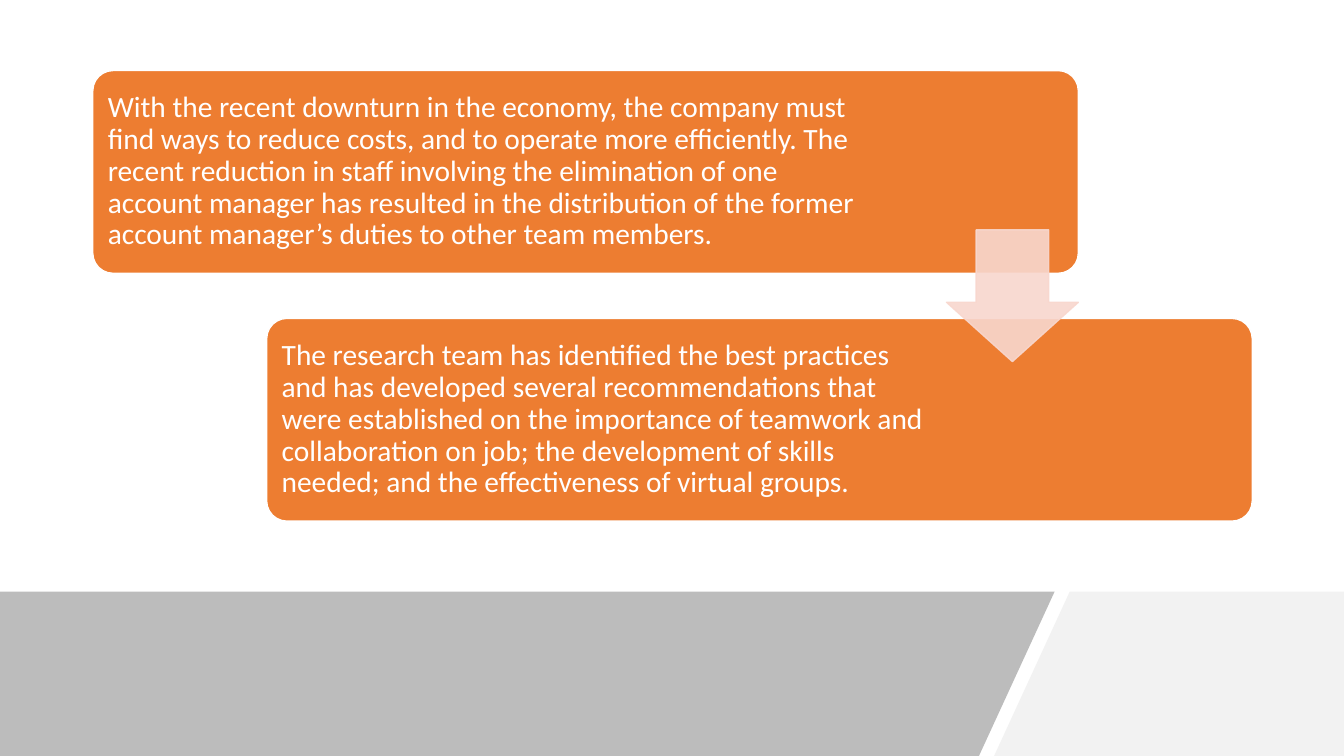
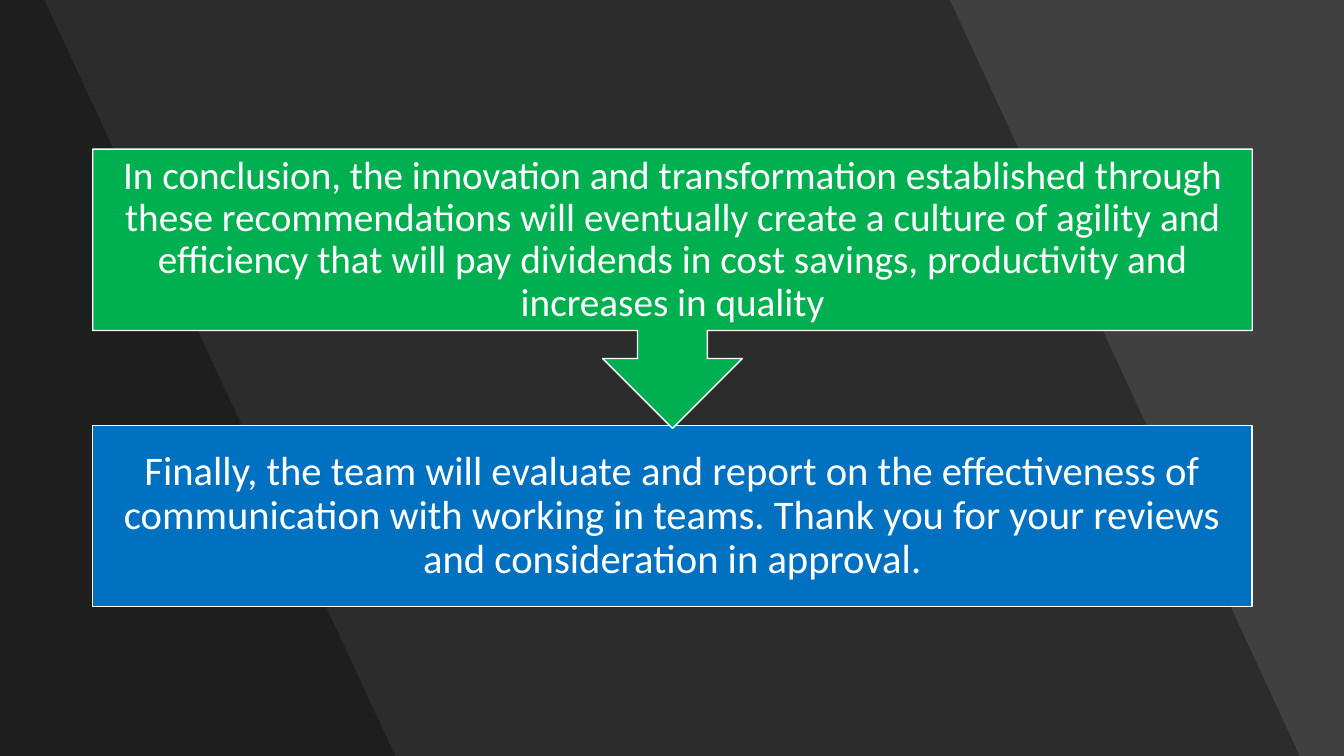
"""Build two slides of linked statement boxes over slanted bands."""
from dataclasses import dataclass

from lxml import etree
from pptx import Presentation
from pptx.dml.color import RGBColor
from pptx.enum.shapes import MSO_SHAPE
from pptx.enum.text import MSO_ANCHOR, PP_ALIGN
from pptx.oxml.ns import qn
from pptx.util import Inches, Pt

ROUND = MSO_SHAPE.ROUNDED_RECTANGLE
RECT = MSO_SHAPE.RECTANGLE
ARROW = MSO_SHAPE.DOWN_ARROW
CALL = MSO_SHAPE.DOWN_ARROW_CALLOUT
MID = MSO_ANCHOR.MIDDLE
LEFT, CENTER = PP_ALIGN.LEFT, PP_ALIGN.CENTER


@dataclass(frozen=True)
class Theme:
    """Hold the shared colours, font and type sizes."""
    font: str = "Calibri"
    white: str = "FFFFFF"
    black: str = "000000"
    dark: str = "404040"
    gray: str = "595959"
    pale: str = "F2F2F2"
    orange: str = "ED7D31"
    pink: str = "F8D7CE"
    green: str = "00B050"
    blue: str = "0070C0"
    small: int = 21
    large: int = 28
    huge: int = 29


T = Theme()
WIDE, HIGH = 13.33, 7.5
EDGE, SPAN = 0.92, 11.5


def paint(shape, fill, line=None, alpha=100):
    """Set fill, line and opacity of a shape without a shadow."""
    shape.shadow.inherit = False
    shape.fill.solid()
    shape.fill.fore_color.rgb = RGBColor.from_string(fill)
    if line:
        shape.line.width = Pt(1)
        shape.line.color.rgb = RGBColor.from_string(line)
    else:
        shape.line.fill.background()
    if alpha < 100:
        for tint in shape.element.spPr.iter(qn("a:srgbClr")):
            etree.SubElement(tint, qn("a:alpha")).set("val", str(alpha * 1000))


def write(shape, text, size, align, pad):
    """Put one middle-anchored paragraph in a shape; pad is left, right, ends."""
    frame = shape.text_frame
    frame.word_wrap = True
    frame.vertical_anchor = MID
    frame.margin_left, frame.margin_right = Inches(pad[0]), Inches(pad[1])
    frame.margin_top = frame.margin_bottom = Inches(pad[2])
    para = frame.paragraphs[0]
    para.text = text
    para.alignment = align
    para.line_spacing = 0.9
    font = para.runs[0].font
    font.name, font.size = T.font, Pt(size)
    font.color.rgb = RGBColor.from_string(T.white)


deck = Presentation()
deck.slide_width, deck.slide_height = Inches(WIDE), Inches(HIGH)
blank = deck.slide_layouts[6]

band = 5.87
looks = [
    (T.white, [
        ([(10.61, band), (WIDE, band), (WIDE, HIGH), (9.86, HIGH)], T.pale, 100),
        ([(0, band), (10.46, band), (9.71, HIGH), (0, HIGH)], T.gray, 40),
    ]),
    (T.dark, [
        ([(0, 0), (9.42, 0), (12.89, HIGH), (0, HIGH)], T.black, 30),
        ([(0, 0), (0.44, 0), (3.92, HIGH), (0, HIGH)], T.black, 30),
    ]),
]
slides = []
for back, bands in looks:
    slide = deck.slides.add_slide(blank)
    slide.background.fill.solid()
    slide.background.fill.fore_color.rgb = RGBColor.from_string(back)
    for spots, fill, alpha in bands:
        spots = [(Inches(x), Inches(y)) for x, y in spots]
        pen = slide.shapes.build_freeform(*spots[0])
        pen.add_line_segments(spots[1:], close=True)
        paint(pen.convert_to_shape(), fill, alpha=alpha)
    slides.append(slide)
first, last = [slide.shapes for slide in slides]

top, tall = 0.7, 4.47
wide, high = SPAN * 0.85, tall * 0.45
cards = [
    ("With the recent downturn in the economy, the company must find ways to "
     "reduce costs, and to operate more efficiently. The recent reduction in "
     "staff involving the elimination of one account manager has resulted in "
     "the distribution of the former account manager’s duties to other team "
     "members.", 2.05),
    ("The research team has identified the best practices and has developed "
     "several recommendations that were established on the importance of "
     "teamwork and collaboration on job; the development of skills needed; "
     "and the effectiveness of virtual groups.", 3.18),
]
for step, (text, right) in enumerate(cards):
    card = first.add_shape(ROUND, Inches(EDGE + step * (SPAN - wide)),
                           Inches(top + step * (tall - high)),
                           Inches(wide), Inches(high))
    card.adjustments[0] = 0.1
    paint(card, T.orange, T.white)
    write(card, text, T.small, LEFT, (0.09, right, 0.09))

side = high * 0.65
arrow = first.add_shape(ARROW, Inches(EDGE + wide - side), Inches(2.28),
                        Inches(side), Inches(side))
arrow.adjustments[0], arrow.adjustments[1] = 0.45, 0.55
arrow.adjustments[0], arrow.adjustments[1] = 0.55, 0.45
paint(arrow, T.pink, T.pink, 90)

steps = [
    (RECT, 4.22, 1.8, T.blue, T.huge, 0.23,
     "Finally, the team will evaluate and report on the effectiveness of "
     "communication with working in teams. Thank you for your reviews and "
     "consideration in approval."),
    (CALL, 1.48, 2.77, T.green, T.large, 0.22,
     "In conclusion, the innovation and transformation established through "
     "these recommendations will eventually create a culture of agility and "
     "efficiency that will pay dividends in cost savings, productivity and "
     "increases in quality"),
]
for kind, y, deep, fill, size, pad, text in steps:
    box = last.add_shape(kind, Inches(EDGE), Inches(y), Inches(SPAN), Inches(deep))
    paint(box, fill, T.white)
    write(box, text, size, CENTER, (pad, pad, 0))

deck.save("out.pptx")
